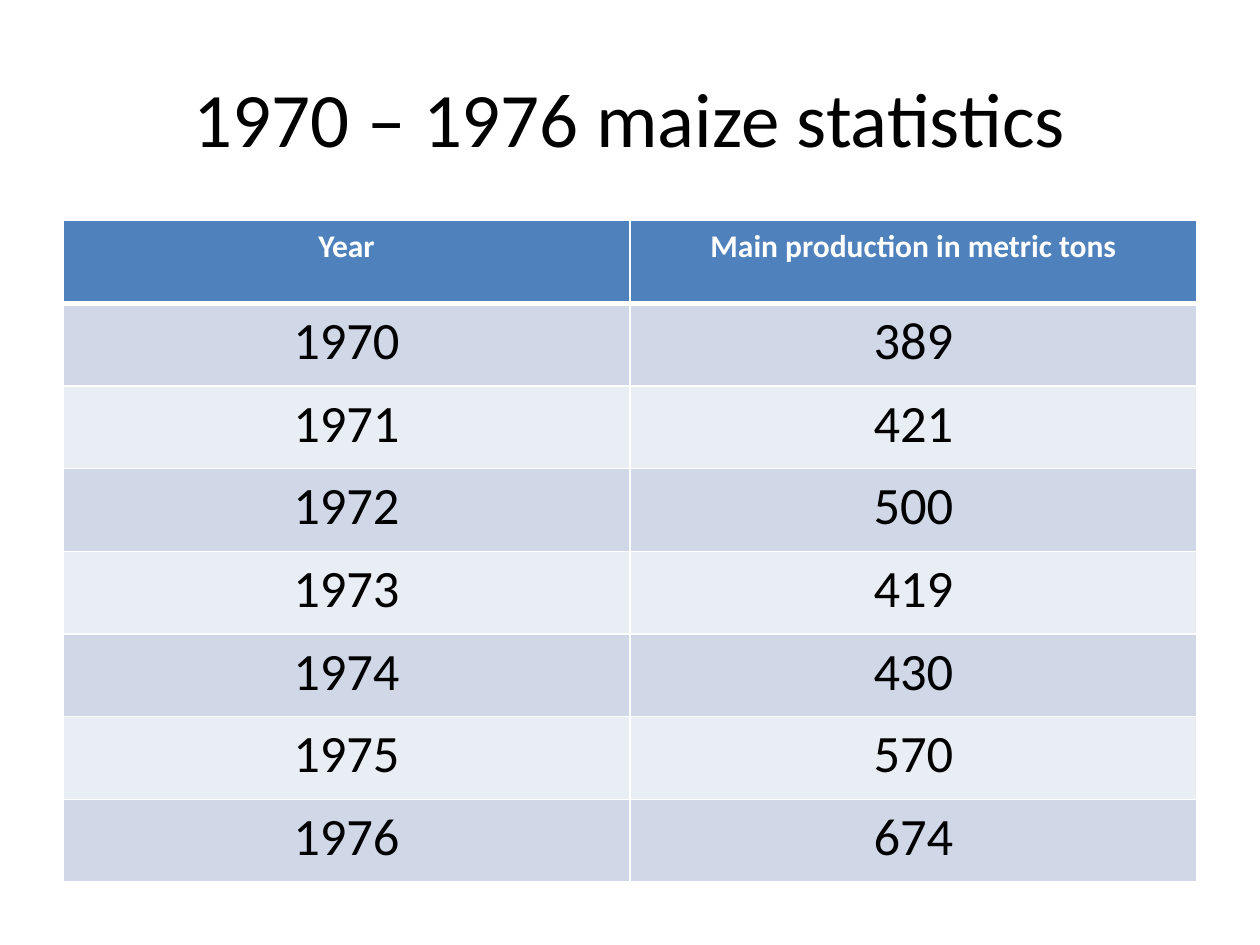
import pptx
import pptx.dml.color
import pptx.enum.text
import pptx.oxml
import pptx.oxml.ns
import pptx.util
from pptx.util import Cm

HEADINGS = ("Year", "Main production in metric tons")
PRODUCTION = {1970: 389, 1971: 421, 1972: 500, 1973: 419, 1974: 430, 1975: 570, 1976: 674}


def color(hex_code):
    return pptx.dml.color.RGBColor.from_string(hex_code)


class SlideBuilder:
    font_name = "Calibri"
    text_color = "000000"
    light_color = "FFFFFF"
    header_fill = "4F81BD"
    band_fills = ("D0D8E8", "E9EDF4")

    def __init__(self, slide):
        self.slide = slide

    def set_text(self, text_frame, text, size, hex_code, bold=False):
        paragraph = text_frame.paragraphs[0]
        paragraph.text = text
        paragraph.alignment = pptx.enum.text.PP_ALIGN.CENTER
        paragraph.font.name = self.font_name
        paragraph.font.size = pptx.util.Pt(size)
        paragraph.font.bold = bold
        paragraph.font.color.rgb = color(hex_code)

    def title(self, text, left, top, width, height):
        text_frame = self.slide.shapes.add_textbox(left, top, width, height).text_frame
        text_frame.word_wrap = True
        text_frame.vertical_anchor = pptx.enum.text.MSO_ANCHOR.MIDDLE
        self.set_text(text_frame, text, 44, self.text_color)

    def borders(self, cell, is_header, below_header):
        """Draw light cell borders, with a heavier rule under the header."""
        widths = {"L": 1, "R": 1, "T": 3 if below_header else 1, "B": 3 if is_header else 1}
        properties = cell._tc.get_or_add_tcPr()
        for position, (side, points) in enumerate(widths.items()):
            line = pptx.oxml.parse_xml(
                f'<a:ln{side} {pptx.oxml.ns.nsdecls("a")} w="{pptx.util.Pt(points)}">'
                f'<a:solidFill><a:srgbClr val="{self.light_color}"/></a:solidFill></a:ln{side}>'
            )
            properties.insert(position, line)

    def table(self, rows, left, top, width, height):
        table = self.slide.shapes.add_table(
            len(rows), len(rows[0]), left, top, width, height
        ).table
        for row_index, row in enumerate(rows):
            is_header = row_index == 0
            fill = self.header_fill if is_header else self.band_fills[(row_index - 1) % 2]
            size, hex_code = (18, self.light_color) if is_header else (30, self.text_color)
            for column_index, value in enumerate(row):
                cell = table.cell(row_index, column_index)
                cell.fill.solid()
                cell.fill.fore_color.rgb = color(fill)
                self.set_text(cell.text_frame, str(value), size, hex_code, is_header)
                self.borders(cell, is_header, row_index == 1)


def main():
    presentation = pptx.Presentation()
    presentation.slide_width = Cm(25.4)
    presentation.slide_height = Cm(19.05)
    builder = SlideBuilder(presentation.slides.add_slide(presentation.slide_layouts[6]))

    left, width = Cm(1.27), Cm(22.86)
    builder.title("1970 – 1976 maize statistics", left, Cm(0.76), width, Cm(3.18))
    builder.table([HEADINGS, *PRODUCTION.items()], left, Cm(4.45), width, Cm(13.33))
    presentation.save("out.pptx")


if __name__ == "__main__":
    main()
